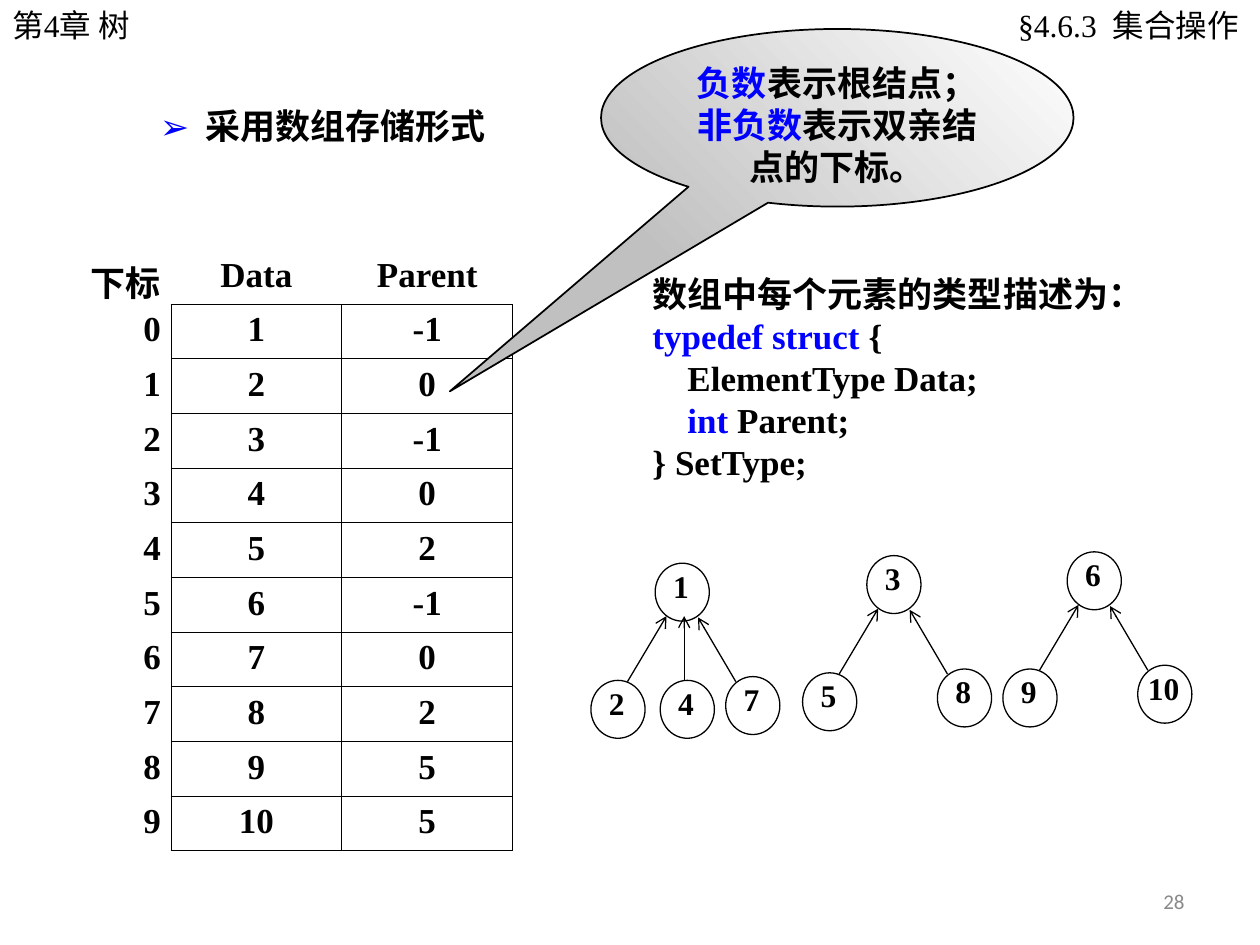
"""Build the slide on storing disjoint sets in an array."""
from lxml.etree import SubElement
from pptx import Presentation
from pptx.dml.color import RGBColor
from pptx.enum.shapes import MSO_CONNECTOR as CONNECTOR, MSO_SHAPE as SHAPE
from pptx.enum.text import MSO_ANCHOR as ANCHOR, PP_ALIGN as ALIGN
from pptx.oxml.ns import qn
from pptx.util import Inches, Pt

COLORS = {"black": "000000", "blue": "0000FF", "gray": "898989",
          "silver": "C0C0C0", "white": "FFFFFF"}
RGB = {name: RGBColor.from_string(value) for name, value in COLORS.items()}

presentation = Presentation()
presentation.slide_width, presentation.slide_height = Inches(10), Inches(7.5)
slide = presentation.slides.add_slide(presentation.slide_layouts[6])
column, row = presentation.slide_width // 100, presentation.slide_height // 75


def place(*lengths):
    return [round(length * unit) for length, unit in zip(lengths, (column, row) * 2)]


def write(frame, paragraphs, size=20, bold=True, font="Times New Roman", **layout):
    frame.word_wrap = True
    for index, runs in enumerate(paragraphs):
        paragraph = frame.add_paragraph() if index else frame.paragraphs[0]
        for name, value in layout.items():
            setattr(paragraph, name, value)
        for text, color in runs:
            run = paragraph.add_run()
            run.text = text
            run.font.color.rgb = RGB[color]
            for name, value in {"size": Pt(size), "bold": bold, "name": font}.items():
                setattr(run.font, name, value)


page_number = slide.shapes.add_textbox(*place(71.7, 69.5, 23.3, 4)).text_frame
page_number.vertical_anchor = ANCHOR.MIDDLE
write(page_number, [[("28", "gray")]], 12, False, "Calibri", alignment=ALIGN.RIGHT)

chapter = slide.shapes.add_textbox(*place(0, 0, 20.9, 4)).text_frame
write(chapter, [[("第4章 树", "black")]], 18, False, space_before=Pt(11.2))

code = slide.shapes.add_textbox(*place(50.8, 21.1, 39.8, 17.7)).text_frame
write(code, [
    [("数组中每个元素的类型描述为：", "black")],
    [("typedef struct", "blue"), (" {", "black")],
    [("ElementType Data;", "black")],
    [("int", "blue"), (" Parent;", "black")],
    [("} SetType;", "black")],
])
for member in code.paragraphs[2:4]:
    member._p.get_or_add_pPr().set("marL", str(Pt(20)))

parents = [-1, 0, -1, 0, 2, -1, 0, 2, 5, 5]
records = [("下标", "Data", "Parent")]
records += [(index, index + 1, parent) for index, parent in enumerate(parents)]
table = slide.shapes.add_table(len(records), 3, *place(0, 19.8, 40.7, 37.2)).table
table.first_row = table.horz_banding = False
for row_index, record in enumerate(records):
    for column_index, value in enumerate(record):
        cell = table.cell(row_index, column_index)
        for side in ("left", "right"):
            setattr(cell, f"margin_{side}", Inches(0.08))
        write(cell.text_frame, [[(str(value), "black")]],
              alignment=ALIGN.CENTER if column_index else ALIGN.RIGHT)
        if row_index and column_index:
            visible = "LRTB"
        elif row_index:
            visible = "R"
        else:
            visible = "B" if column_index else ""
        properties = cell._tc.get_or_add_tcPr()
        for side in "LRTB":
            border = SubElement(properties, qn(f"a:ln{side}"), w=str(Pt(0.45)))
            if side in visible:
                fill = SubElement(border, qn("a:solidFill"))
                SubElement(fill, qn("a:srgbClr"), val=COLORS["black"])
            else:
                SubElement(border, qn("a:noFill"))
        cell.fill.background()

branches = {
    "left": ((-5.1, 9.3), (0.9, 4.2), (-2.2, 9.4)),
    "middle": ((0.4, 9.3), (2.3, 4.2), (2.3, 9.3)),
    "right": ((5.6, 9), (3.4, 4.3), (6.4, 9.4)),
}
trees = [
    (52, 44.7, "1", {"left": "2", "middle": "4", "right": "7"}),
    (68.8, 44.1, "3", {"left": "5", "right": "8"}),
    (84.7, 43.8, "6", {"left": "9", "right": "10"}),
]
for left, top, root, children in trees:
    shapes = slide.shapes.add_group_shape().shapes
    nodes = [(0, 0, root)]
    nodes += [(*branches[side][0], name) for side, name in children.items()]
    for across, down, name in nodes:
        node = shapes.add_shape(SHAPE.OVAL, *place(left + across, top + down, 4.3, 4.6))
        node.shadow.inherit = False
        node.fill.solid()
        node.fill.fore_color.rgb = RGB["white"]
        node.line.color.rgb = RGB["black"]
        node.line.width = Pt(0.75)
        label = shapes.add_textbox(
            *place(left + across + 0.2, top + down, 3.7, 4.4)).text_frame
        label.vertical_anchor = ANCHOR.MIDDLE
        for side in ("left", "right", "top", "bottom"):
            setattr(label, f"margin_{side}", 0)
        write(label, [[(name, "black")]], 18, alignment=ALIGN.CENTER, line_spacing=0.64)
    for side in children:
        start, end = branches[side][1:]
        edge = shapes.add_connector(
            CONNECTOR.STRAIGHT, *place(left + start[0], top + start[1],
                                       left + end[0], top + end[1]))
        edge.line.color.rgb = RGB["black"]
        edge.line.width = Pt(0.75)
        SubElement(edge.line._get_or_add_ln(), qn("a:headEnd"), type="arrow")
        SubElement(edge._element.spPr, qn("a:effectLst"))

heading = slide.shapes.add_textbox(*place(11.7, 7.8, 28.9, 4.4)).text_frame
write(heading, [[("➢  ", "blue"), ("采用数组存储形式", "black")]])
heading.paragraphs[0].runs[0].font.name = "Arial"

callout = slide.shapes.add_shape(SHAPE.OVAL_CALLOUT, *place(47.7, 2.3, 37.5, 14.1))
callout.adjustments[0], callout.adjustments[1] = -0.82, 1.54
callout.shadow.inherit = False
callout.fill.gradient()
callout.fill.gradient_angle = 45
for stop, color in zip(callout.fill.gradient_stops, ("silver", "white")):
    stop.color.rgb = RGB[color]
callout.line.color.rgb = RGB["black"]
callout.line.width = Pt(1)
callout.text_frame.vertical_anchor = ANCHOR.TOP
write(callout.text_frame, [[
    ("负数", "blue"), ("表示根结点；", "black"),
    ("非负数", "blue"), ("表示双亲结点的下标。", "black"),
]], alignment=ALIGN.CENTER)

section = slide.shapes.add_textbox(*place(61.8, 0, 38.1, 4)).text_frame
section.margin_left, section.margin_right = Inches(0.12), Inches(0.16)
write(section, [[("§4.6.3  集合操作", "black")]], 18, False,
      alignment=ALIGN.RIGHT, space_before=Pt(11.2))

presentation.save("out.pptx")
